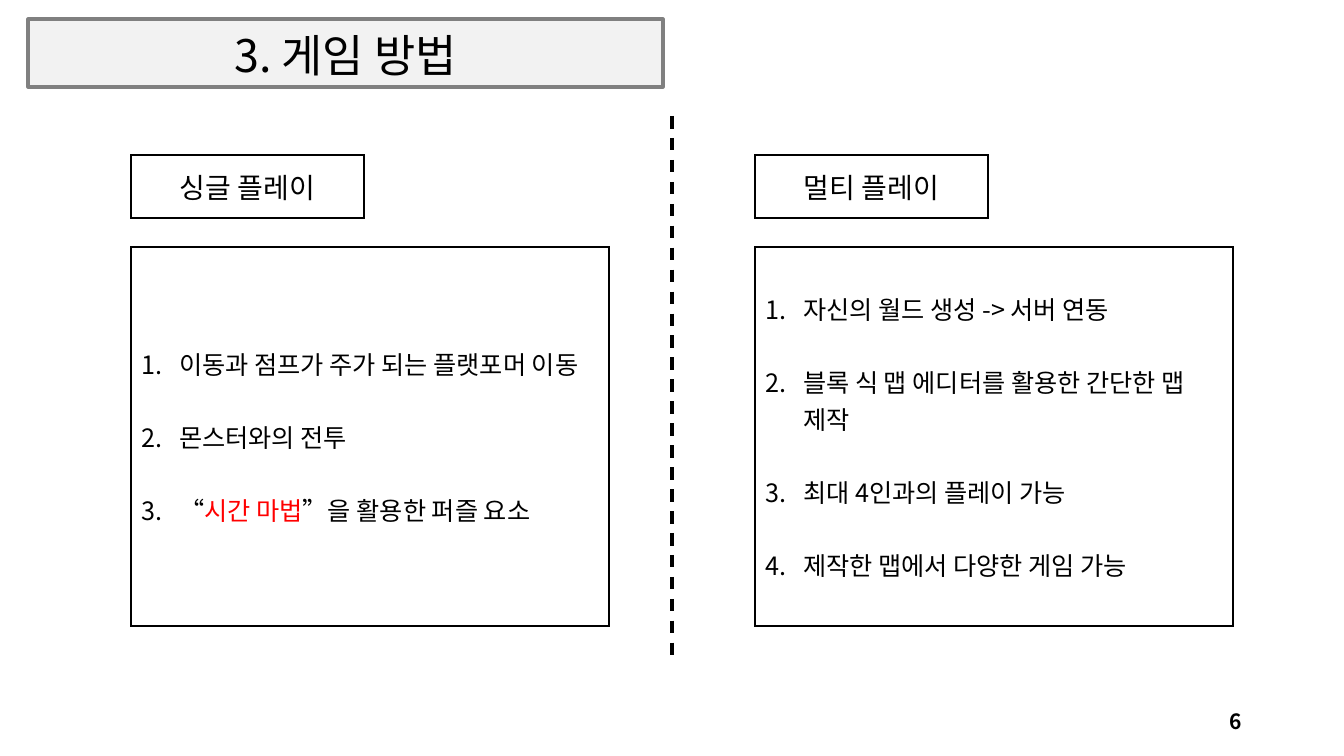
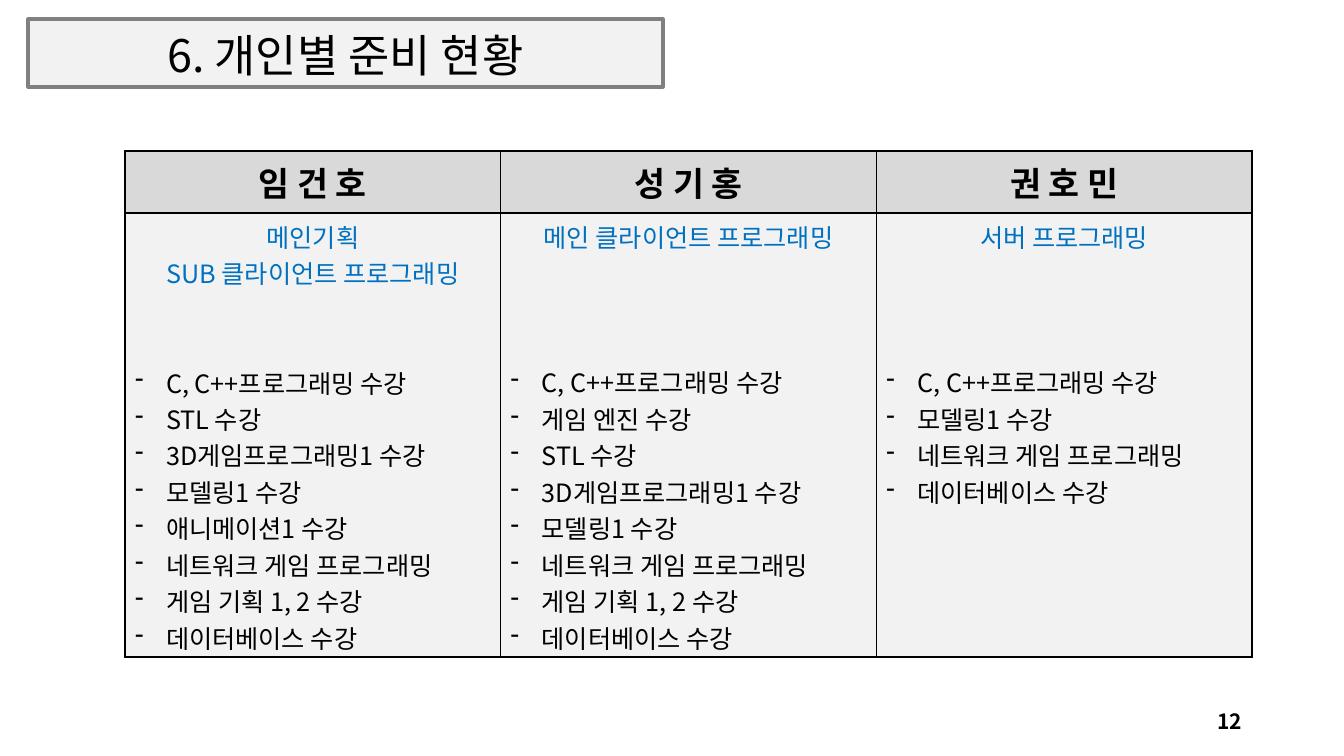
"""Builds two slides of a game project deck: how to play and each member's preparation."""
from lxml.etree import SubElement
from pptx import Presentation
from pptx.dml.color import RGBColor
from pptx.enum.dml import MSO_LINE
from pptx.enum.shapes import MSO_CONNECTOR, MSO_SHAPE
from pptx.enum.text import MSO_ANCHOR, PP_ALIGN
from pptx.oxml.ns import qn
from pptx.util import Pt

PLAY_TITLE, PLAY_PAGE = "3. 게임 방법", 6
PLAY_MODES = [
    ("싱글 플레이", [
        [("이동과 점프가 주가 되는 플랫포머 이동", "000000")],
        [("몬스터와의 전투", "000000")],
        [("“", "000000"), ("시간 마법", "FF0000"), ("”을 활용한 퍼즐 요소", "000000")],
    ]),
    ("멀티 플레이", [
        [("자신의 월드 생성 -> 서버 연동", "000000")],
        [("블록 식 맵 에디터를 활용한 간단한 맵 제작", "000000")],
        [("최대 4인과의 플레이 가능", "000000")],
        [("제작한 맵에서 다양한 게임 가능", "000000")],
    ]),
]

STATUS_TITLE, STATUS_PAGE = "6. 개인별 준비 현황", 12
MEMBERS = [
    ("임 건 호", ["메인기획", "SUB 클라이언트 프로그래밍"], [
        "C, C++프로그래밍 수강", "STL 수강", "3D게임프로그래밍1 수강", "모델링1 수강",
        "애니메이션1 수강", "네트워크 게임 프로그래밍", "게임 기획 1, 2 수강", "데이터베이스 수강"]),
    ("성 기 홍", ["메인 클라이언트 프로그래밍"], [
        "C, C++프로그래밍 수강", "게임 엔진 수강", "STL 수강", "3D게임프로그래밍1 수강",
        "모델링1 수강", "네트워크 게임 프로그래밍", "게임 기획 1, 2 수강", "데이터베이스 수강"]),
    ("권 호 민", ["서버 프로그래밍"], [
        "C, C++프로그래밍 수강", "모델링1 수강", "네트워크 게임 프로그래밍", "데이터베이스 수강"]),
]

FONT = "Noto Sans CJK KR"
BLACK, WHITE, BLUE = "000000", "FFFFFF", "0070C0"
BAND_FILL, BAND_LINE, HEADER_FILL = "F2F2F2", "808080", "D9D9D9"
BODY_SIZE, BODY_LINE = 18, 26
ROLE_LINES = 4
EMU_PER_PX = 914400 / 100.8


def px(*lengths):
    return [round(length * EMU_PER_PX) for length in lengths]


def rgb(value):
    return RGBColor.from_string(value)


def style(run, size, color=BLACK, bold=False):
    run.font.size = Pt(size)
    run.font.bold = bold
    run.font.color.rgb = rgb(color)
    run.font.name = FONT
    SubElement(run.font._element, qn("a:ea"), typeface=FONT)


def write(paragraph, pieces, size, bold=False, align=PP_ALIGN.LEFT):
    paragraph.alignment = align
    for text, color in pieces:
        run = paragraph.add_run()
        run.text = text
        style(run, size, color, bold)


def hang(paragraph, indent, tag, **marker):
    properties = paragraph._p.get_or_add_pPr()
    properties.set("marL", str(indent))
    properties.set("indent", str(-indent))
    SubElement(properties, qn(tag), **marker)


def next_paragraph(frame, index):
    return frame.add_paragraph() if index else frame.paragraphs[0]


def add_grid(slide, box, row_heights, columns):
    left, top, width, height = px(*box)
    grid = slide.shapes.add_table(len(row_heights), columns, left, top, width, height).table
    grid.first_row = grid.horz_banding = False
    for row, row_height in zip(grid.rows, px(*row_heights)):
        row.height = row_height
    return grid


def fill_cell(cell, color, anchor=MSO_ANCHOR.MIDDLE):
    cell.vertical_anchor = anchor
    properties = cell._tc.get_or_add_tcPr()
    for side in ("a:lnL", "a:lnR", "a:lnT", "a:lnB"):
        border = SubElement(properties, qn(side), w=str(Pt(1)))
        SubElement(SubElement(border, qn("a:solidFill")), qn("a:srgbClr"), val=BLACK)
    cell.fill.solid()
    cell.fill.fore_color.rgb = rgb(color)
    return cell.text_frame


def add_framed_slide(deck, title, page):
    slide = deck.slides.add_slide(deck.slide_layouts[6])
    band = slide.shapes.add_shape(MSO_SHAPE.RECTANGLE, *px(28, 19, 635, 68))
    band.shadow.inherit = False
    band.fill.solid()
    band.fill.fore_color.rgb = rgb(BAND_FILL)
    band.line.color.rgb = rgb(BAND_LINE)
    band.line.width = Pt(2.25)
    band.text_frame.vertical_anchor = MSO_ANCHOR.BOTTOM
    heading = band.text_frame.paragraphs[0]
    heading.line_spacing = 0.9
    write(heading, [(title, BLACK)], 32, align=PP_ALIGN.CENTER)

    number = slide.shapes.add_textbox(*px(950, 701, 302, 40)).text_frame
    number.word_wrap = True
    number.vertical_anchor = MSO_ANCHOR.MIDDLE
    write(number.paragraphs[0], [(str(page), BLACK)], 15, True, PP_ALIGN.RIGHT)
    return slide


def add_play_slide(deck):
    slide = add_framed_slide(deck, PLAY_TITLE, PLAY_PAGE)
    divider = slide.shapes.add_connector(MSO_CONNECTOR.STRAIGHT, *px(672, 116, 672, 659))
    divider.line.color.rgb = rgb(BLACK)
    divider.line.width = Pt(2.25)
    divider.line.dash_style = MSO_LINE.DASH
    SubElement(divider._element.spPr, qn("a:effectLst"))

    for column, (mode, features) in enumerate(PLAY_MODES):
        left = 131 + column * 624
        label = add_grid(slide, (left, 155, 233, 63), [63], 1)
        frame = fill_cell(label.cell(0, 0), WHITE)
        write(frame.paragraphs[0], [(mode, BLACK)], 20, align=PP_ALIGN.CENTER)

        panel = add_grid(slide, (left, 247, 478, 379), [379], 1)
        frame = fill_cell(panel.cell(0, 0), WHITE)
        for index, pieces in enumerate(features):
            paragraph = next_paragraph(frame, index)
            hang(paragraph, px(38)[0], "a:buAutoNum", type="arabicPeriod")
            if index:
                paragraph.space_before = Pt(BODY_LINE)
            write(paragraph, pieces, BODY_SIZE)


def add_status_slide(deck):
    slide = add_framed_slide(deck, STATUS_TITLE, STATUS_PAGE)
    grid = add_grid(slide, (125, 151, 1127, 506), [62, 444], len(MEMBERS))
    for column, (name, roles, courses) in enumerate(MEMBERS):
        header = fill_cell(grid.cell(0, column), HEADER_FILL)
        write(header.paragraphs[0], [(name, BLACK)], 24, True, PP_ALIGN.CENTER)

        frame = fill_cell(grid.cell(1, column), BAND_FILL, MSO_ANCHOR.TOP)
        for index, role in enumerate(roles):
            write(next_paragraph(frame, index), [(role, BLUE)], BODY_SIZE, align=PP_ALIGN.CENTER)
        for index, course in enumerate(courses):
            paragraph = frame.add_paragraph()
            hang(paragraph, px(31)[0], "a:buChar", char="-")
            if index == 0:
                paragraph.space_before = Pt(BODY_LINE * (ROLE_LINES - len(roles)))
            write(paragraph, [(course, BLACK)], BODY_SIZE)


def main():
    deck = Presentation()
    deck.slide_width, deck.slide_height = px(1344, 756)
    add_play_slide(deck)
    add_status_slide(deck)
    deck.save("out.pptx")


if __name__ == "__main__":
    main()
